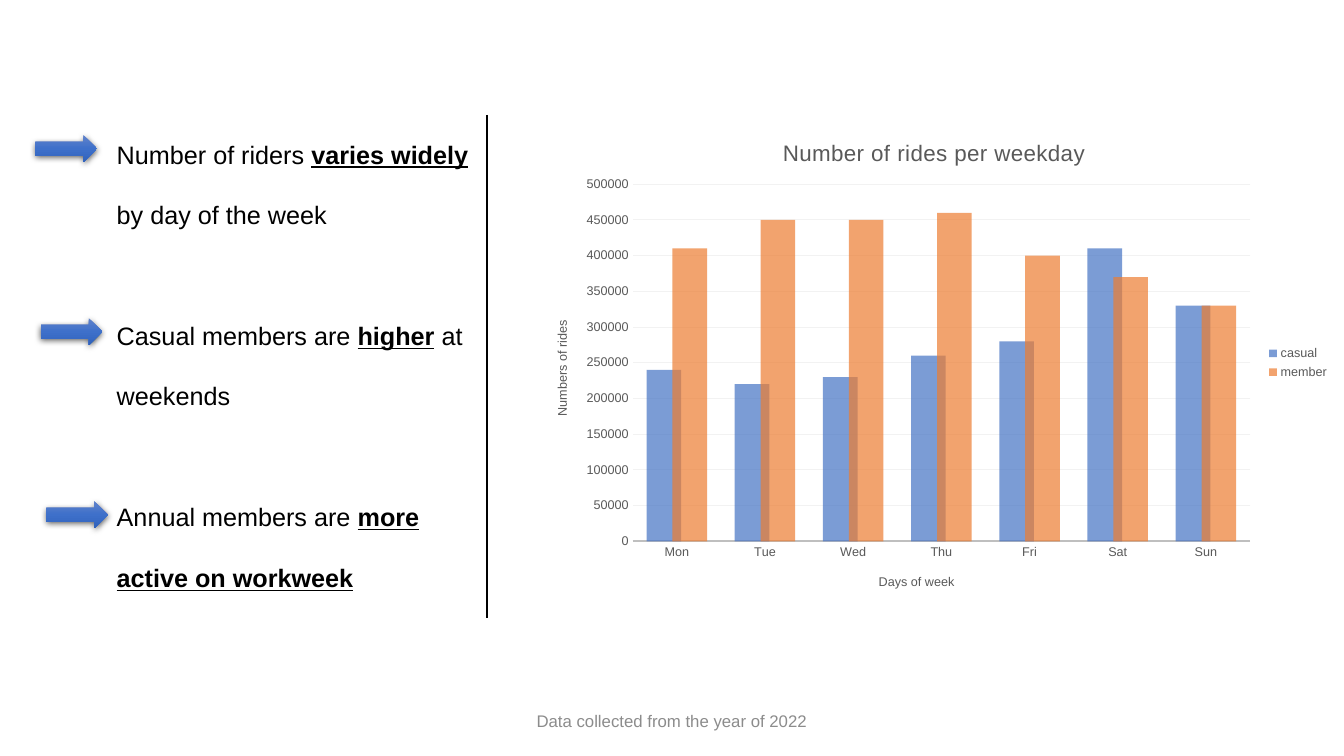
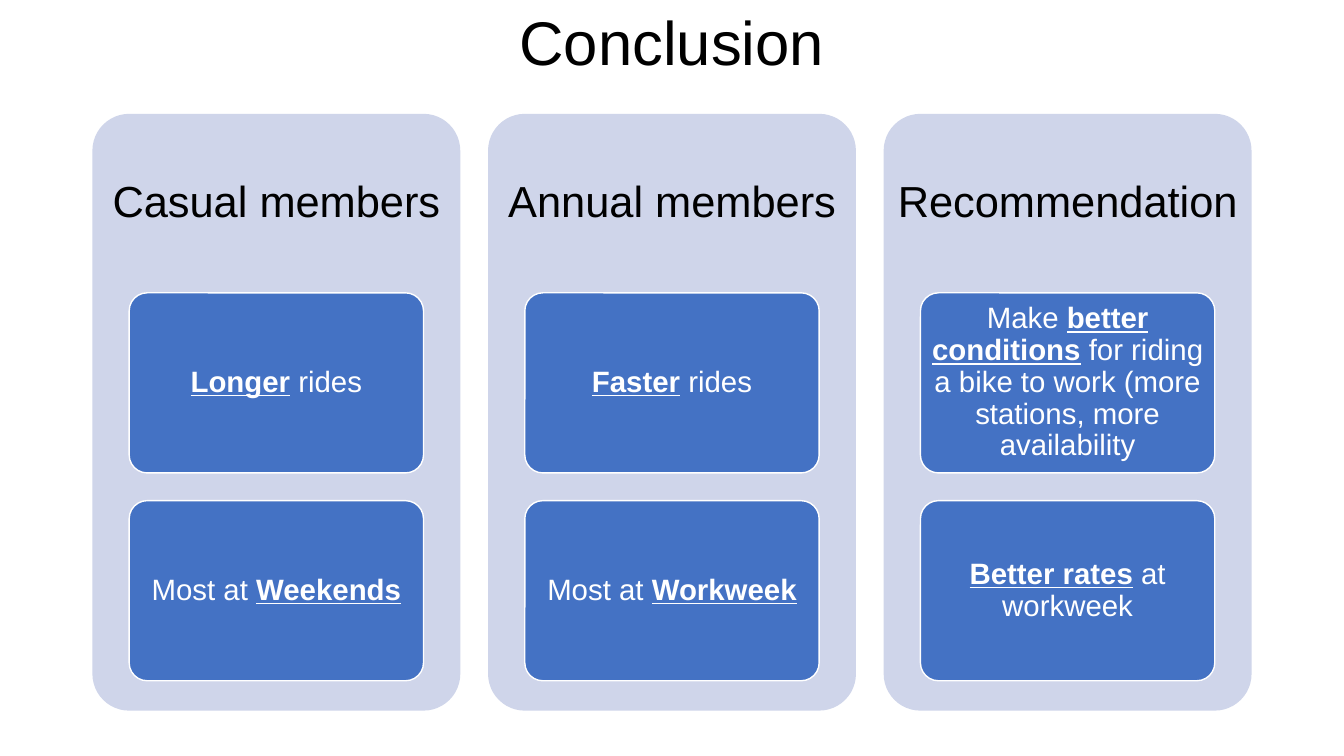
from copy import deepcopy
from dataclasses import dataclass

from pptx import Presentation
from pptx.chart.data import CategoryChartData as Data
from pptx.dml.color import RGBColor as Rgb
from pptx.enum.chart import XL_CHART_TYPE as Kind, XL_LEGEND_POSITION as Spot
from pptx.enum.chart import XL_TICK_MARK as Tick
from pptx.enum.shapes import MSO_CONNECTOR as Link, MSO_SHAPE as Form
from pptx.enum.text import MSO_ANCHOR as Anchor, PP_ALIGN as Align
from pptx.oxml import parse_xml
from pptx.oxml.ns import nsdecls, qn
from pptx.oxml.xmlchemy import OxmlElement as Node
from pptx.util import Pt


@dataclass(frozen=True)
class Theme:
    font: str = "Arial"
    ink: str = "000000"
    white: str = "FFFFFF"
    blue: str = "4472C4"
    orange: str = "ED7D31"
    pale: str = "CFD5EA"
    gray: str = "595959"
    note: str = "8C8C8C"
    axis: str = "BFBFBF"
    grid: str = "F2F2F2"
    glow: tuple = ("6183CB", "3E70CA", "3062BB")
    title: int = 44
    head: int = 31
    card: int = 21
    body: int = 18
    chart: int = 16
    foot: int = 12
    tick: int = 9


T = Theme()
WIDE, HIGH = 960, 540
DAYS = ("Mon", "Tue", "Wed", "Thu", "Fri", "Sat", "Sun")
RIDES = (
    ("casual", T.blue, (240000, 220000, 230000, 260000, 280000, 410000, 330000)),
    ("member", T.orange, (410000, 450000, 450000, 460000, 400000, 370000, 330000)),
)
POINTS = (
    "Number of riders *varies widely *by day of the week",
    "Casual members are *higher* at weekends",
    "Annual members are *more active on workweek*",
)
GROUPS = (
    ("Casual members", ("*Longer* rides", "Most at *Weekends*")),
    ("Annual members", ("*Faster* rides", "Most at *Workweek*")),
    ("Recommendation", (
        "Make *better conditions* for riding a bike to work "
        "(more stations, more availability",
        "*Better rates* at workweek",
    )),
)


def pts(*nums):
    return [Pt(n) for n in nums]


def style(font, size, color):
    font.name, font.size, font.bold = T.font, Pt(size), False
    font.color.rgb = Rgb.from_string(color)


def write(par, text, size, color, space=1.0, align=None):
    par.line_spacing, par.alignment = space, align
    for i, part in enumerate(text.split("*")):
        if part:
            run = par.add_run()
            run.text = part
            style(run.font, size, color)
            if i % 2:
                run.font.bold = run.font.underline = True


def frame(shape, pad=(7.2, 3.6), anchor=Anchor.MIDDLE):
    text = shape.text_frame
    text.word_wrap, text.vertical_anchor = True, anchor
    text.margin_left = text.margin_right = Pt(pad[0])
    text.margin_top = text.margin_bottom = Pt(pad[1])
    return text


def label(slide, box, text, size, color, space=1.0, pad=(7.2, 3.6)):
    area = frame(slide.shapes.add_textbox(*pts(*box)), pad)
    write(area.paragraphs[0], text, size, color, space, Align.CENTER)


def round_box(slide, box, color, line=None):
    shape = slide.shapes.add_shape(Form.ROUNDED_RECTANGLE, *pts(*box))
    shape.adjustments[0] = 0.1
    shape.shadow.inherit = False
    shape.fill.solid()
    shape.fill.fore_color.rgb = Rgb.from_string(color)
    if line:
        shape.line.color.rgb = Rgb.from_string(line)
        shape.line.width = Pt(1)
    else:
        shape.line.fill.background()
    return shape


def arrow(slide, box):
    shape = slide.shapes.add_shape(Form.RIGHT_ARROW, *pts(*box))
    shape.line.fill.background()
    shape.fill.gradient()
    shape.fill.gradient_angle = 270
    first, mid, last = T.glow
    stops = shape.fill.gradient_stops
    for stop, color, pos in zip(stops, (first, last), (0, 1)):
        stop.color.rgb, stop.position = Rgb.from_string(color), pos
    props = shape.element.spPr
    ramp = next(props.iter(qn("a:gsLst")))
    half = deepcopy(ramp[0])
    half.set("pos", "50000")
    half[0].set("val", mid)
    ramp.insert(1, half)
    props.append(parse_xml(
        f'<a:effectLst {nsdecls("a")}><a:outerShdw blurRad="57150" dist="19050" '
        f'dir="5400000" algn="ctr" rotWithShape="0"><a:srgbClr val="{T.ink}">'
        '<a:alpha val="63000"/></a:srgbClr></a:outerShdw></a:effectLst>'))


def rule(slide, x, top, end):
    line = slide.shapes.add_connector(Link.STRAIGHT, *pts(x, top, x, end))
    line.line.color.rgb = Rgb.from_string(T.ink)
    line.line.width = Pt(1.5)
    line.element.spPr.append(Node("a:effectLst"))


def place(node, index, **spots):
    for old in node.findall(qn("c:layout")):
        node.remove(old)
    inner = '<c:layoutTarget val="inner"/>' if "w" in spots else ""
    modes = "".join(f'<c:{k}Mode val="edge"/>' for k in "xy")
    vals = "".join(f'<c:{k} val="{v}"/>' for k, v in spots.items())
    node.insert(index, parse_xml(
        f'<c:layout {nsdecls("c")}><c:manualLayout>{inner}{modes}{vals}'
        '</c:manualLayout></c:layout>'))


def name(title, text, size, x, y):
    title.text_frame.text = text
    style(title.text_frame.paragraphs[0].runs[0].font, size, T.gray)
    place(title.element, 1, x=x, y=y)


def ride_chart(slide, box):
    data = Data()
    data.categories = DAYS
    for key, _, vals in RIDES:
        data.add_series(key, vals)
    chart = slide.shapes.add_chart(Kind.COLUMN_CLUSTERED, *pts(*box), data).chart
    style(chart.font, T.tick, T.gray)
    chart.has_title = chart.has_legend = True
    name(chart.chart_title, "Number of rides per weekday", T.chart, 0.31, 0.04)
    for props in chart.chart_title.element.iter(qn("a:rPr")):
        props.set("spc", "40")
    chart.legend.position = Spot.RIGHT
    chart.legend.include_in_layout = False
    style(chart.legend.font, T.tick, T.gray)

    plot = chart.plots[0]
    plot.gap_width, plot.overlap, plot.vary_by_categories = 80, 25, False
    for bars, (_, color, _) in zip(plot.series, RIDES):
        bars.invert_if_negative = False
        bars.format.fill.solid()
        bars.format.fill.fore_color.rgb = Rgb.from_string(color)
    for bars in chart.element.iter(qn("c:ser")):
        for color in bars.iter(qn("a:srgbClr")):
            alpha = Node("a:alpha")
            alpha.set("val", "70000")
            color.append(alpha)

    days, count = chart.category_axis, chart.value_axis
    for axis in (days, count):
        axis.major_tick_mark = axis.minor_tick_mark = Tick.NONE
        style(axis.tick_labels.font, T.tick, T.gray)
    days.format.line.color.rgb = Rgb.from_string(T.axis)
    days.format.line.width = Pt(1.25)
    name(days.axis_title, "Days of week", T.tick, 0.43, 0.92)
    count.minimum_scale, count.maximum_scale, count.major_unit = 0, 500000, 50000
    count.format.line.fill.background()
    grid = count.major_gridlines.format.line
    grid.color.rgb, grid.width = Rgb.from_string(T.grid), Pt(0.75)
    name(count.axis_title, "Numbers of rides", T.tick, 0.03, 0.41)
    for body in count.axis_title.element.iter(qn("a:bodyPr")):
        body.set("rot", "-5400000")
        body.set("vert", "horz")
    area = next(chart.element.iter(qn("c:plotArea")))
    place(area, 0, x=0.13, y=0.14, w=0.76, h=0.72)


def point_list(slide, box):
    x, y, _, _ = box
    area = frame(slide.shapes.add_textbox(*pts(*box)), anchor=Anchor.TOP)
    for i, text in enumerate(POINTS):
        par = area.add_paragraph() if i else area.paragraphs[0]
        write(par, text, T.body, T.ink, 2.0)
        if i:
            par.space_before = Pt(43.2)
        arrow(slide, (x - 51 + 3.9 * i, y + 22.5 + 130.7 * i, 44, 19.5))


def column(slide, box, head, cards):
    x, y, w, h = box
    top, gap, side = 0.3 * h, 19.8, 0.1 * w
    round_box(slide, box, T.pale)
    label(slide, (x, y, w, top), head, T.head, T.ink, 0.9, (9.3, 9.3))
    tall = (0.65 * h - gap) / 2
    for i, text in enumerate(cards):
        spot = (x + side, y + top + i * (tall + gap), w - 2 * side, tall)
        card = round_box(slide, spot, T.blue, T.white)
        par = frame(card, (4.2, 3.1)).paragraphs[0]
        write(par, text, T.card, T.white, 0.9, Align.CENTER)


def columns(slide, box):
    x, y, w, h = box
    gap = 19.8
    wide = (w - gap * (len(GROUPS) - 1)) / len(GROUPS)
    for i, (head, cards) in enumerate(GROUPS):
        column(slide, (x + i * (wide + gap), y, wide, h), head, cards)


def rides(slide):
    ride_chart(slide, (376.5, 82, 580.3, 354.3))
    rule(slide, 348, 82, 441.5)
    point_list(slide, (76.3, 74, 271.5, 378))
    label(slide, (318, 500.5, 324, 28.8),
          "Data collected from the year of 2022", T.foot, T.note)


def closing(slide):
    label(slide, (66, 1.5, 828, 62.6), "Conclusion", T.title, T.ink, 0.9)
    columns(slide, (66, 81.3, 828, 426.3))


def main():
    deck = Presentation()
    deck.slide_width, deck.slide_height = pts(WIDE, HIGH)
    for build in (rides, closing):
        build(deck.slides.add_slide(deck.slide_layouts[6]))
    deck.save("out.pptx")


if __name__ == "__main__":
    main()
